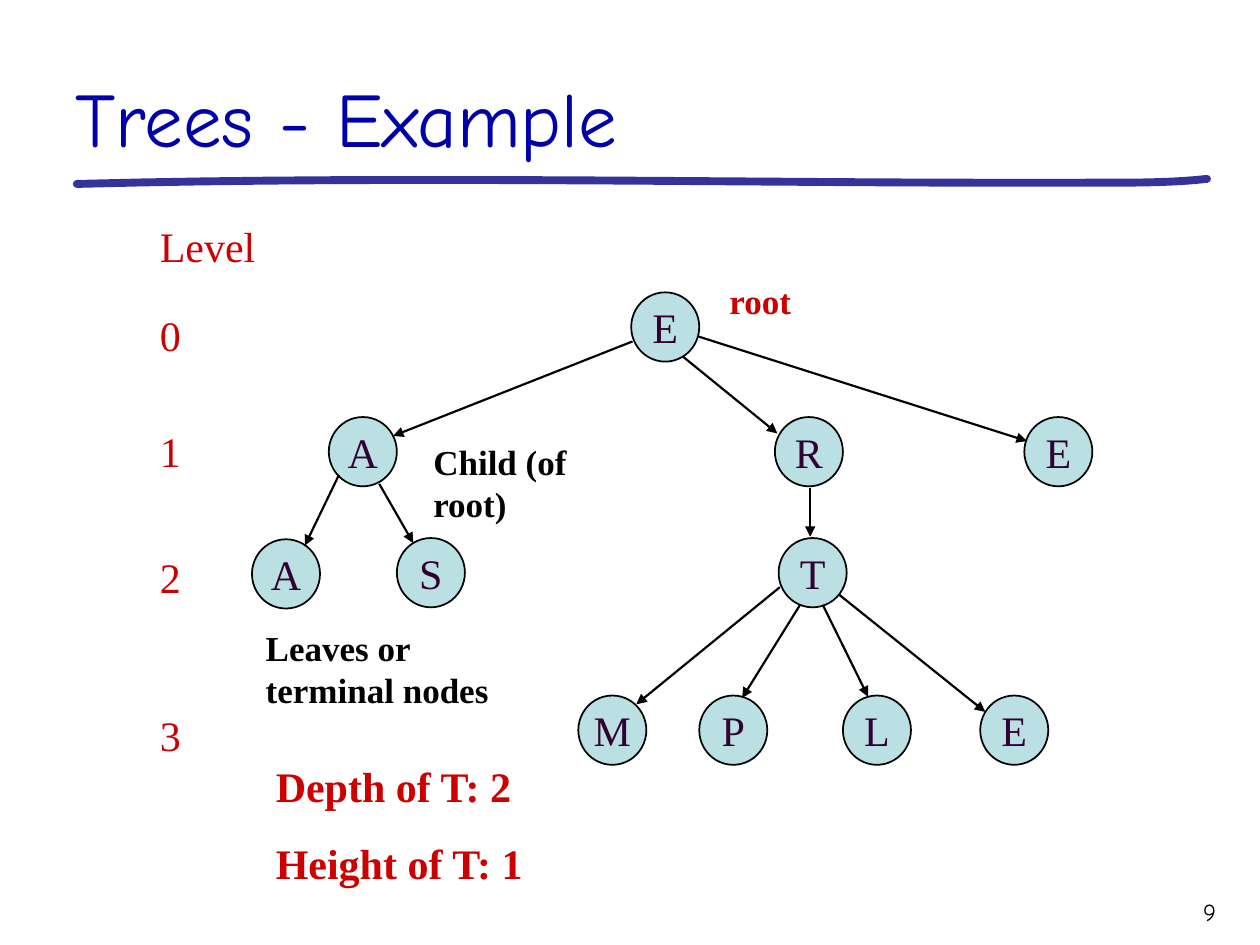
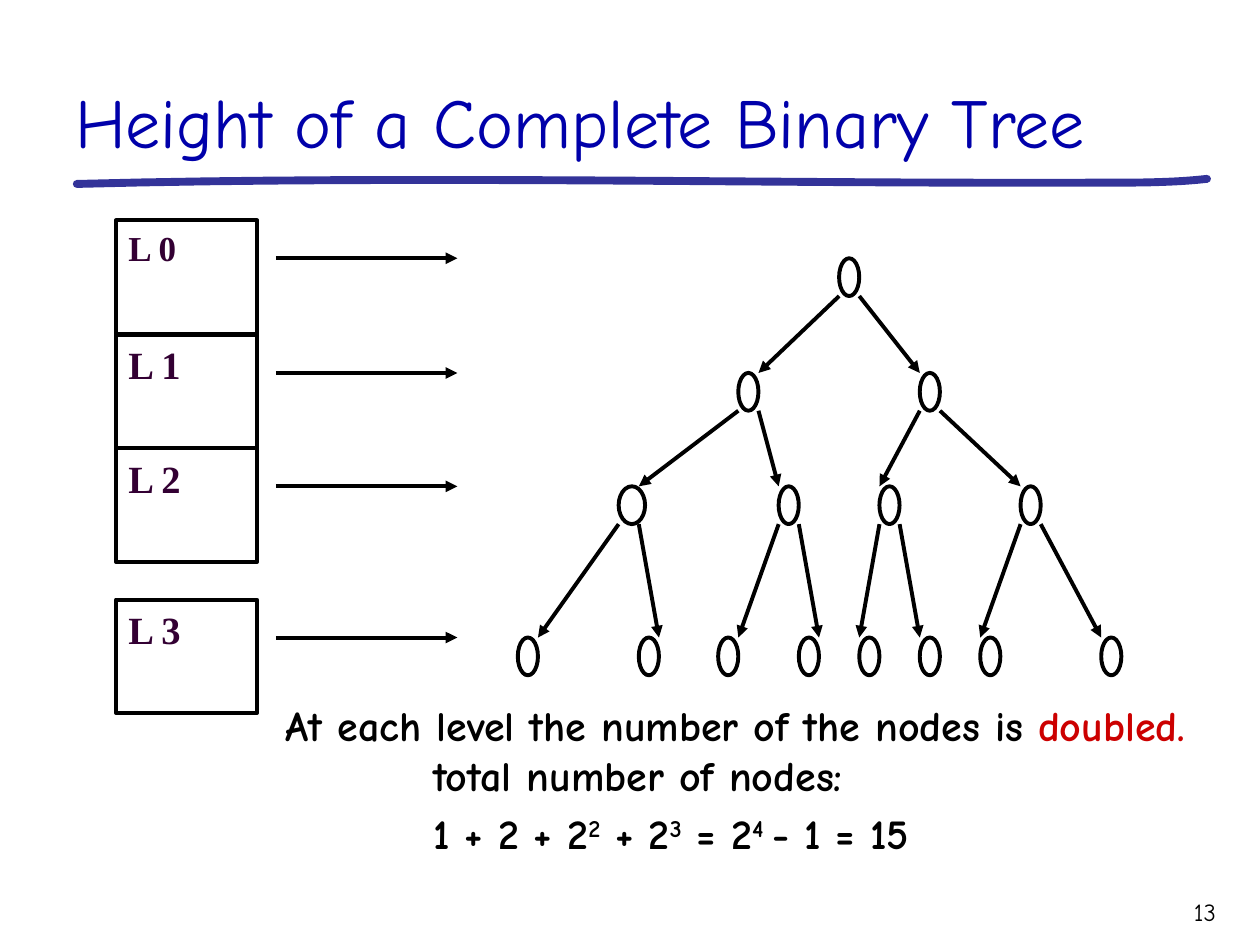
import dataclasses

import pptx
import pptx.dml.color
import pptx.enum.shapes
import pptx.enum.text
import pptx.oxml
import pptx.oxml.ns
import pptx.util

Inches = pptx.util.Inches
SHAPE = pptx.enum.shapes.MSO_SHAPE
ALIGN = pptx.enum.text.PP_ALIGN
ANCHOR = pptx.enum.text.MSO_ANCHOR


@dataclasses.dataclass(frozen=True)
class Theme:
    black: str = "000000"
    white: str = "FFFFFF"
    blue: str = "0000AA"
    rule: str = "333399"
    red: str = "CC0000"
    plum: str = "330033"
    teal: str = "BBE0E3"
    hand: str = "Comic Neue"
    serif: str = "Times New Roman"
    head: int = 44
    long_head: int = 40
    body: int = 24
    label: int = 22
    note: int = 20
    foot: int = 14
    thin: float = 1
    edge: float = 1.25
    bold: float = 2.25
    thick: float = 4.5


THEME = Theme()
ROWS = [0, 0.91, 1.81, 3.01]  # tops of the four levels of the binary tree


def color(code):
    return pptx.dml.color.RGBColor.from_string(code)


def add_run(para, text, size, tint, font=THEME.serif, bold=False, raised=False):
    run = para.add_run()
    run.text = text
    run.font.size = pptx.util.Pt(size)
    run.font.name = font
    run.font.bold = bold
    run.font.color.rgb = color(tint)
    if raised:
        run.font._element.set("baseline", "30000")


def add_box(slide, box):
    frame = slide.shapes.add_textbox(*map(Inches, box)).text_frame
    frame.word_wrap = True
    return frame


def add_label(slide, box, text, size, tint, **style):
    frame = add_box(slide, box)
    add_run(frame.paragraphs[0], text, size, tint, **style)
    return frame


def add_solid(slide, kind, box, fill, width):
    shape = slide.shapes.add_shape(kind, *map(Inches, box))
    shape.shadow.inherit = False
    shape.fill.solid()
    shape.fill.fore_color.rgb = color(fill)
    shape.line.color.rgb = color(THEME.black)
    shape.line.width = pptx.util.Pt(width)
    return shape


def add_arrow(slide, start, end, width):
    line = slide.shapes.add_connector(
        pptx.enum.shapes.MSO_CONNECTOR.STRAIGHT, *map(Inches, start + end))
    line.line.color.rgb = color(THEME.black)
    line.line.width = pptx.util.Pt(width)
    tail = pptx.oxml.parse_xml(
        f'<a:tailEnd {pptx.oxml.ns.nsdecls("a")} type="triangle"/>')
    line.line._get_or_add_ln().append(tail)
    props = line._element.spPr
    props.append(pptx.oxml.parse_xml(
        f'<a:effectLst {pptx.oxml.ns.nsdecls("a")}/>'))


def curve(points, steps=16):
    """Return points along a cubic Bezier curve, without its start."""
    for step in range(1, steps + 1):
        t = step / steps
        parts = ((1 - t) ** 3, 3 * t * (1 - t) ** 2, 3 * t * t * (1 - t), t ** 3)
        yield tuple(Inches(sum(w * p[axis] for w, p in zip(parts, points)))
                    for axis in (0, 1))


def add_rule(slide, left, top):
    """Draw the hand-drawn stroke below the title."""
    bends = [
        [(0.03, 0.04), (2.75, -0.03), (5.47, 0.04), (8.18, 0.03)],
        [(8.18, 0.03), (8.46, 0.03), (8.73, 0.03), (9, 0)],
    ]
    bends = [[(left + x, top + y) for x, y in bend] for bend in bends]
    path = slide.shapes.build_freeform(*map(Inches, bends[0][0]))
    path.add_line_segments([p for bend in bends for p in curve(bend)], close=False)
    rule = path.convert_to_shape()
    rule.shadow.inherit = False
    rule.fill.background()
    rule.line.color.rgb = color(THEME.rule)
    rule.line.width = pptx.util.Pt(THEME.thick)
    rule.line._get_or_add_ln().set("cap", "rnd")


def add_page(deck, title, size, number):
    slide = deck.slides.add_slide(deck.slide_layouts[6])
    add_rule(slide, 0.58, 1.42)
    frame = add_label(slide, (0.5, 0.17, 9.25, 1.17), title, size,
                      THEME.blue, font=THEME.hand)
    frame.vertical_anchor = ANCHOR.BOTTOM
    frame = add_label(slide, (8.75, 7.07, 1, 0.35), number, THEME.foot,
                      THEME.black, font=THEME.hand)
    frame.paragraphs[0].alignment = ALIGN.RIGHT
    return slide


def add_tree(slide, left, top):
    nodes = [
        ("E", 3.01, 0), ("A", 0.61, 0.99), ("R", 4.15, 0.99), ("E", 6.13, 0.99),
        ("A", 0, 1.96), ("S", 1.15, 1.95), ("T", 4.18, 1.95),
        ("M", 2.59, 3.2), ("P", 3.55, 3.2), ("L", 4.69, 3.2), ("E", 5.78, 3.2),
    ]
    edges = [
        (3.02, 0.39, 1.12, 1.14), (3.42, 0.51, 4.17, 1.12),
        (3.54, 0.35, 6.15, 1.18), (0.69, 1.45, 0.42, 2.01),
        (1.01, 1.52, 1.28, 1.99), (4.43, 1.55, 4.43, 1.94),
        (4.19, 2.34, 3.05, 3.27), (4.35, 2.48, 3.89, 3.22),
        (4.53, 2.48, 4.89, 3.21), (4.66, 2.4, 5.82, 3.33),
    ]
    for letter, x, y in nodes:
        node = add_solid(slide, SHAPE.OVAL, (left + x, top + y, 0.54, 0.55),
                         THEME.teal, THEME.thin)
        frame = node.text_frame
        frame.word_wrap = False
        frame.vertical_anchor = ANCHOR.MIDDLE
        frame.paragraphs[0].alignment = ALIGN.CENTER
        add_run(frame.paragraphs[0], letter, THEME.body, THEME.plum)
    for x1, y1, x2, y2 in edges:
        add_arrow(slide, (left + x1, top + y1), (left + x2, top + y2), THEME.edge)


def add_notes(slide, left, top):
    """Place the bold remarks around the lettered tree."""
    notes = [
        ("root", THEME.red, 3.69, -0.15, 0.78, 0.44),
        ("Leaves or terminal nodes", THEME.black, 0.01, 2.6, 1.98, 0.77),
        ("Child (of root)", THEME.black, 1.34, 1.13, 1.48, 0.77),
    ]
    for text, tint, x, y, width, height in notes:
        add_label(slide, (left + x, top + y, width, height), text,
                  THEME.note, tint, bold=True)
    frame = add_label(slide, (left + 0.09, top + 3.67, 2.29, 1.11),
                      "Depth of T: 2", THEME.body, THEME.red, bold=True)
    para = frame.add_paragraph()
    para.space_before = pptx.util.Pt(15)
    add_run(para, "Height of T: 1", THEME.body, THEME.red, bold=True)


def add_scale(slide, left, top):
    """List the level numbers beside the lettered tree."""
    add_label(slide, (left, top, 0.96, 0.5), "Level", THEME.body, THEME.red)
    for level, y in enumerate([0.71, 1.63, 2.63, 3.88]):
        add_label(slide, (left, top + y, 0.46, 0.5), str(level),
                  THEME.body, THEME.red)


def add_levels(slide, left, top):
    for level, row in enumerate(ROWS):
        y = top + row
        cell = add_solid(slide, SHAPE.RECTANGLE, (left, y, 1.12, 0.9),
                         THEME.white, THEME.bold)
        frame = cell.text_frame
        frame.vertical_anchor = ANCHOR.TOP
        frame.paragraphs[0].alignment = ALIGN.LEFT
        size = THEME.label if level else THEME.note
        add_run(frame.paragraphs[0], f"L {level}", size, THEME.plum, bold=True)
        add_arrow(slide, (left + 1.27, y + 0.3), (left + 2.71, y + 0.3), THEME.bold)


def add_binary(slide, left, top):
    """Draw a full tree; each child's arrow meets its left or right edge."""
    width, height = 0.16, 0.3
    levels = [
        ([2.55], "L"),
        ([1.75, 3.19], "RL"),
        ([0.8, 2.07, 2.87, 3.99], "RLLL"),
        ([0, 0.96, 1.59, 2.23, 2.71, 3.19, 3.67, 4.63], "RRRRLLLL"),
    ]
    for depth, (places, sides) in enumerate(levels):
        y = top + ROWS[depth]
        for index, (x, side) in enumerate(zip(places, sides)):
            wide = 0.21 if (depth, index) == (2, 0) else width
            add_solid(slide, SHAPE.OVAL, (left + x, y, wide, height),
                      THEME.white, THEME.bold)
            if depth:
                above = levels[depth - 1][0][index // 2]
                start = (left + above + width * (index % 2),
                         top + ROWS[depth - 1] + height)
                end = (left + x + width * (side == "R"), y)
                add_arrow(slide, start, end, THEME.bold)


def add_total(slide, box):
    style = {"font": THEME.hand, "bold": True}
    frame = add_box(slide, box)
    para = frame.paragraphs[0]
    add_run(para, "At each level the number of the nodes is ",
            THEME.body, THEME.black, **style)
    add_run(para, "doubled.", THEME.body, THEME.red, **style)
    lines = [
        ["total number of nodes:"],
        ["1 + 2 + 2", "2", " + 2", "3", " = 2", "4 ", "- 1 = 15"],
    ]
    for gap, parts in zip((0, 4.5), lines):
        para = frame.add_paragraph()
        para.space_before = pptx.util.Pt(gap)
        para._p.get_or_add_pPr().set("marL", str(Inches(1.17)))
        for index, text in enumerate(parts):
            add_run(para, text, THEME.body, THEME.black,
                    raised=index % 2 == 1, **style)


def main():
    deck = pptx.Presentation()
    deck.slide_width, deck.slide_height = Inches(10), Inches(7.5)

    slide = add_page(deck, "Trees - Example", THEME.head, "9")
    add_tree(slide, 2, 2.32)
    add_notes(slide, 2, 2.32)
    add_scale(slide, 1.17, 1.7)

    slide = add_page(deck, "Height of a Complete Binary Tree", THEME.long_head, "13")
    add_binary(slide, 4.11, 2.05)
    add_levels(slide, 0.92, 1.75)
    add_total(slide, (2.17, 5.5, 7.67, 1.37))

    deck.save("out.pptx")


if __name__ == "__main__":
    main()
